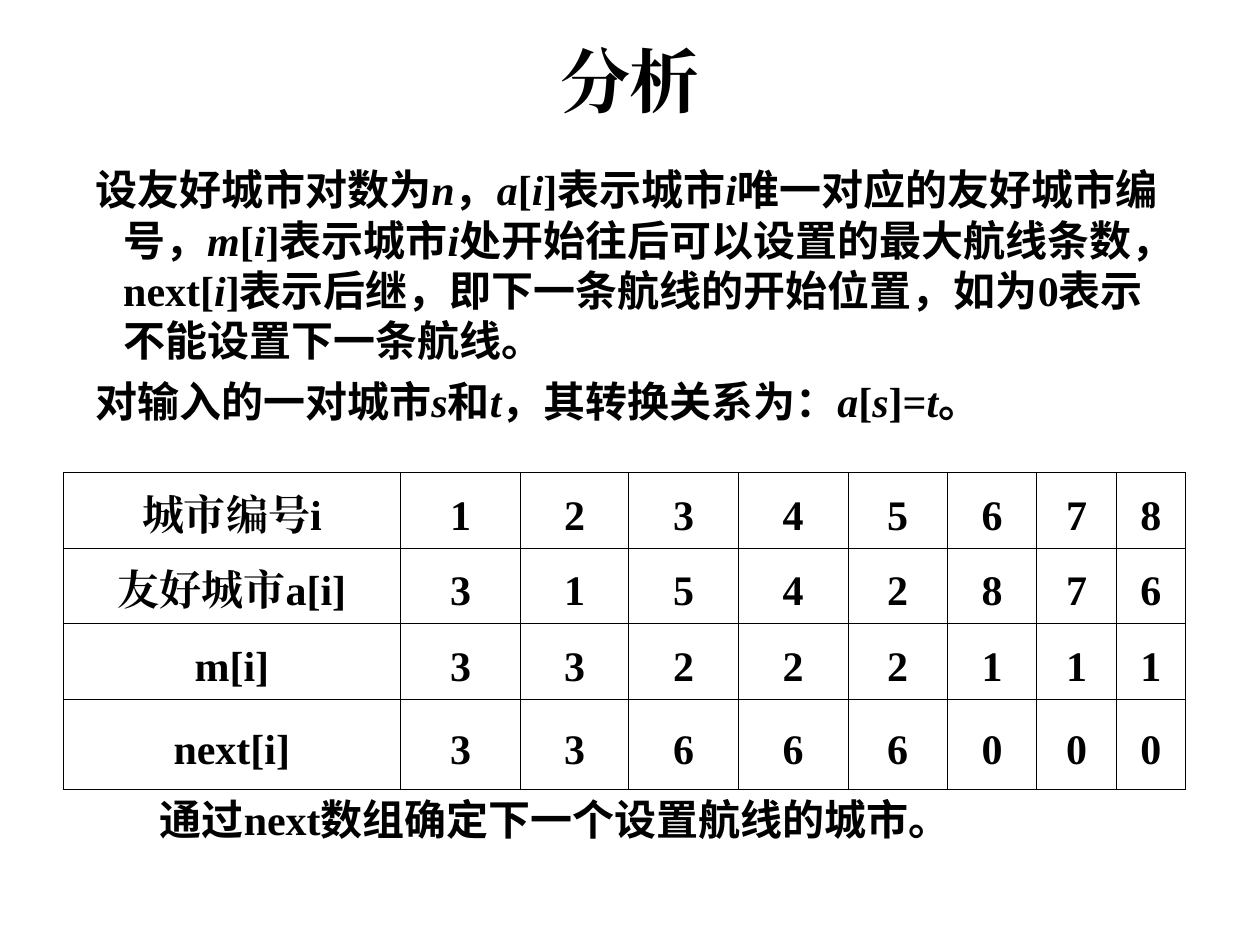
import itertools

import pptx
import pptx.dml.color
import pptx.enum.text
import pptx.oxml.ns
import pptx.util
from lxml import etree
from pptx.util import Inches

SERIF = "Times New Roman"
HAN = "Noto Sans CJK SC"
INK = "000000"
CENTER = pptx.enum.text.PP_ALIGN.CENTER
DEFINITIONS = [
    "设友好城市对数为n，a[i]表示城市i唯一对应的友好城市编号，"
    "m[i]表示城市i处开始往后可以设置的最大航线条数，"
    "next[i]表示后继，即下一条航线的开始位置，如为0表示不能设置下一条航线。",
    "对输入的一对城市s和t，其转换关系为：a[s]=t。",
]
CAPTION = "通过next数组确定下一个设置航线的城市。"
ROUTES = [
    ("城市编号i", "12345678"),
    ("友好城市a[i]", "31542876"),
    ("m[i]", "33222111"),
    ("next[i]", "33666000"),
]
COLUMN_WIDTHS = [2.68, 0.95, 0.86, 0.87, 0.87, 0.79, 0.71, 0.63, 0.55]
ROW_HEIGHTS = [0.6, 0.6, 0.6, 0.71]


def color(hex_code):
    """Turn a hex string into a colour."""
    return pptx.dml.color.RGBColor.from_string(hex_code)


def style_run(run, size, typeface):
    """Make a run bold and ink-coloured, in one typeface for all scripts."""
    run.font.size = pptx.util.Pt(size)
    run.font.bold = True
    run.font.color.rgb = color(INK)
    run.font.name = typeface
    east_asian = etree.SubElement(run.font._element, pptx.oxml.ns.qn("a:ea"))
    east_asian.set("typeface", typeface)


def char_kind(char):
    """Classify a character as Chinese, letter or other."""
    if ord(char) > 0x2E80:
        return "han"
    return "letter" if char.isalpha() else "other"


def add_formula_text(paragraph, sentence):
    """Write a sentence, with one-letter variables in italics."""
    for kind, chars in itertools.groupby(sentence, char_kind):
        run = paragraph.add_run()
        run.text = "".join(chars)
        style_run(run, 24, HAN if kind == "han" else SERIF)
        run.font.italic = kind == "letter" and len(run.text) == 1


def add_frame(slide, left, top, width, height):
    """Add a wrapping text box and return its text frame."""
    box = slide.shapes.add_textbox(
        Inches(left), Inches(top), Inches(width), Inches(height)
    )
    box.text_frame.word_wrap = True
    return box.text_frame


def add_title(slide, heading):
    """Add the centred slide heading."""
    paragraph = add_frame(slide, 0.75, 0.25, 8.5, 1.25).paragraphs[0]
    paragraph.text = heading
    paragraph.alignment = CENTER
    style_run(paragraph.runs[0], 40, SERIF)


def add_sentences(frame, sentences, space_before, margin=0, indent=0):
    """Fill a text frame with one paragraph per sentence."""
    for index, sentence in enumerate(sentences):
        paragraph = frame.add_paragraph() if index else frame.paragraphs[0]
        paragraph.space_before = pptx.util.Pt(space_before)
        paragraph.line_spacing = pptx.util.Pt(28.8)
        properties = paragraph._p.get_or_add_pPr()
        properties.set("marL", str(Inches(margin)))
        properties.set("indent", str(Inches(indent)))
        add_formula_text(paragraph, sentence)


def add_borders(cell):
    """Draw a thin line on all four sides of a cell."""
    properties = cell._tc.get_or_add_tcPr()
    for position, side in enumerate(("lnL", "lnR", "lnT", "lnB")):
        line = etree.Element(pptx.oxml.ns.qn(f"a:{side}"))
        line.set("w", str(pptx.util.Pt(0.45)))
        fill = etree.SubElement(line, pptx.oxml.ns.qn("a:solidFill"))
        etree.SubElement(fill, pptx.oxml.ns.qn("a:srgbClr")).set("val", INK)
        properties.insert(position, line)


def fill_cell(cell, entry):
    """Write a centred entry into a bordered, unfilled cell."""
    cell.fill.background()
    add_borders(cell)
    cell.vertical_anchor = pptx.enum.text.MSO_ANCHOR.MIDDLE
    cell.margin_left = cell.margin_right = Inches(0.08)
    paragraph = cell.text_frame.paragraphs[0]
    paragraph.text = entry
    paragraph.alignment = CENTER
    paragraph.line_spacing = 1.25
    style_run(paragraph.runs[0], 24, SERIF)


def add_route_table(slide):
    """Add the table of cities, partners and route counts."""
    table = slide.shapes.add_table(
        len(ROUTES), len(COLUMN_WIDTHS), Inches(0.5), Inches(3.75),
        Inches(sum(COLUMN_WIDTHS)), Inches(sum(ROW_HEIGHTS)),
    ).table
    table.first_row = table.horz_banding = False
    for column, width in zip(table.columns, COLUMN_WIDTHS):
        column.width = Inches(width)
    for row, height, (label, digits) in zip(table.rows, ROW_HEIGHTS, ROUTES):
        row.height = Inches(height)
        for cell, entry in zip(row.cells, [label, *digits]):
            fill_cell(cell, entry)


def main():
    """Build and save the slide."""
    deck = pptx.Presentation()
    deck.slide_width, deck.slide_height = Inches(10), Inches(7.5)
    slide = deck.slides.add_slide(deck.slide_layouts[6])
    definitions = add_frame(slide, 0.5, 1.25, 9, 2.33)
    add_sentences(definitions, DEFINITIONS, 6, margin=0.38, indent=-0.22)
    add_route_table(slide)
    add_title(slide, "分析")
    add_sentences(add_frame(slide, 1.17, 6.25, 7.17, 0.5), [CAPTION], 15)
    deck.save("out.pptx")


if __name__ == "__main__":
    main()
